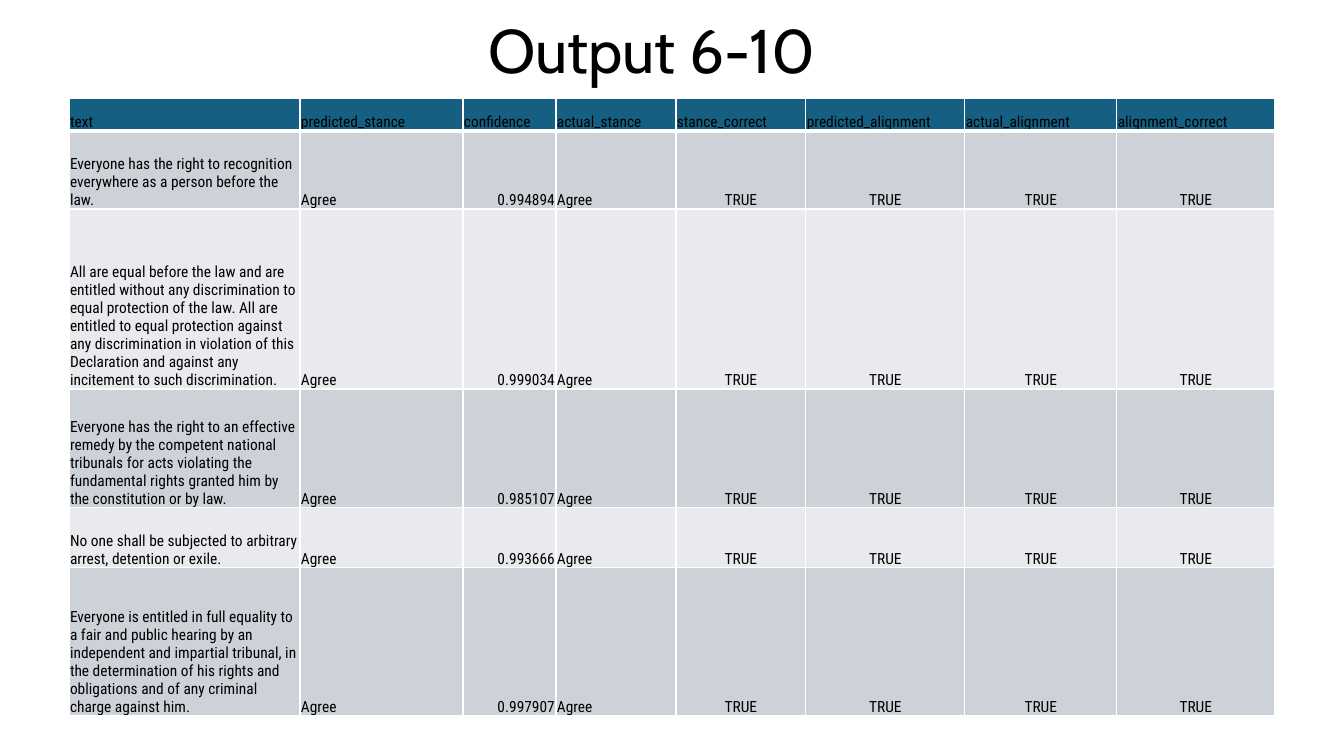
from lxml import etree
from pptx import Presentation
from pptx import util as u
from pptx.dml.color import RGBColor
from pptx.enum import text
from pptx.oxml.ns import qn

SCALE = 914400 / 100.8
LEFT, MID, RIGHT = text.PP_ALIGN.LEFT, text.PP_ALIGN.CENTER, text.PP_ALIGN.RIGHT
WIDTHS = [231, 163, 93, 120, 130, 159, 152, 158]
HEIGHTS = [33, 78, 180, 119, 60, 148]
ALIGNS = [LEFT, LEFT, RIGHT, LEFT] + [MID] * 4
HEADS = ["text", "predicted_stance", "confidence", "actual_stance",
         "stance_correct", "predicted_alignment", "actual_alignment",
         "alignment_correct"]
SCORES = [
    ("Everyone has the right to recognition everywhere as a person before "
     "the law.", "0.994894"),
    ("All are equal before the law and are entitled without any "
     "discrimination to equal protection of the law. All are entitled to "
     "equal protection against any discrimination in violation of this "
     "Declaration and against any incitement to such discrimination.",
     "0.999034"),
    ("Everyone has the right to an effective remedy by the competent "
     "national tribunals for acts violating the fundamental rights granted "
     "him by the constitution or by law.", "0.985107"),
    ("No one shall be subjected to arbitrary arrest, detention or exile.",
     "0.993666"),
    ("Everyone is entitled in full equality to a fair and public hearing by "
     "an independent and impartial tribunal, in the determination of his "
     "rights and obligations and of any criminal charge against him.",
     "0.997907"),
]


def px(n):
    return u.Emu(round(n * SCALE))


def color(code):
    return RGBColor.from_string(code)


def style(para, face, size, align):
    para.alignment = align
    para.font.name = face
    para.font.size = u.Pt(size)
    para.font.bold = False
    para.font.color.rgb = color("000000")


def add_title(slide, words):
    title = slide.shapes.title
    title.left, title.top = px(478), px(-47)
    title.width, title.height = px(388), px(202)
    frame = title.text_frame
    frame.text = words
    frame.auto_size = text.MSO_AUTO_SIZE.NONE
    frame.vertical_anchor = text.MSO_ANCHOR.MIDDLE
    para = frame.paragraphs[0]
    para.line_spacing = 0.9
    style(para, "Cabin", 44, LEFT)


def add_edge(cell, side, points):
    props = cell._tc.get_or_add_tcPr()
    line = etree.SubElement(props, qn("a:ln" + side), w=str(u.Pt(points)))
    fill = etree.SubElement(line, qn("a:solidFill"))
    etree.SubElement(fill, qn("a:srgbClr"), val="FFFFFF")


def fill_cell(cell, words, align, back, edges):
    cell.text = words
    cell.vertical_anchor = text.MSO_ANCHOR.BOTTOM
    cell.margin_left = cell.margin_right = cell.margin_top = px(1)
    cell.margin_bottom = 0
    for side, points in edges.items():
        add_edge(cell, side, points)
    cell.fill.solid()
    cell.fill.fore_color.rgb = color(back)
    style(cell.text_frame.paragraphs[0], "Roboto Condensed", 11, align)


def add_grid(slide, rows):
    frame = slide.shapes.add_table(len(rows), len(WIDTHS), px(69), px(98),
                                   px(sum(WIDTHS)), px(sum(HEIGHTS)))
    table = frame.table
    for col, width in zip(table.columns, WIDTHS):
        col.width = px(width)
    for row, height in zip(table.rows, HEIGHTS):
        row.height = px(height)
    for r, row in enumerate(rows):
        head = r == 0
        back = "156082" if head else ("E8EAED", "CCD2D8")[r % 2]
        edges = {"L": 1, "R": 1, "T": 3 if r == 1 else 1, "B": 3 if head else 1}
        for c, words in enumerate(row):
            align = LEFT if head else ALIGNS[c]
            fill_cell(table.cell(r, c), words, align, back, edges)


def main():
    deck = Presentation()
    deck.slide_width, deck.slide_height = px(1344), px(756)
    slide = deck.slides.add_slide(deck.slide_layouts[5])
    add_title(slide, "Output 6-10")
    body = [[words, "Agree", score, "Agree"] + ["TRUE"] * 4
            for words, score in SCORES]
    add_grid(slide, [HEADS] + body)
    deck.save("out.pptx")


if __name__ == "__main__":
    main()
